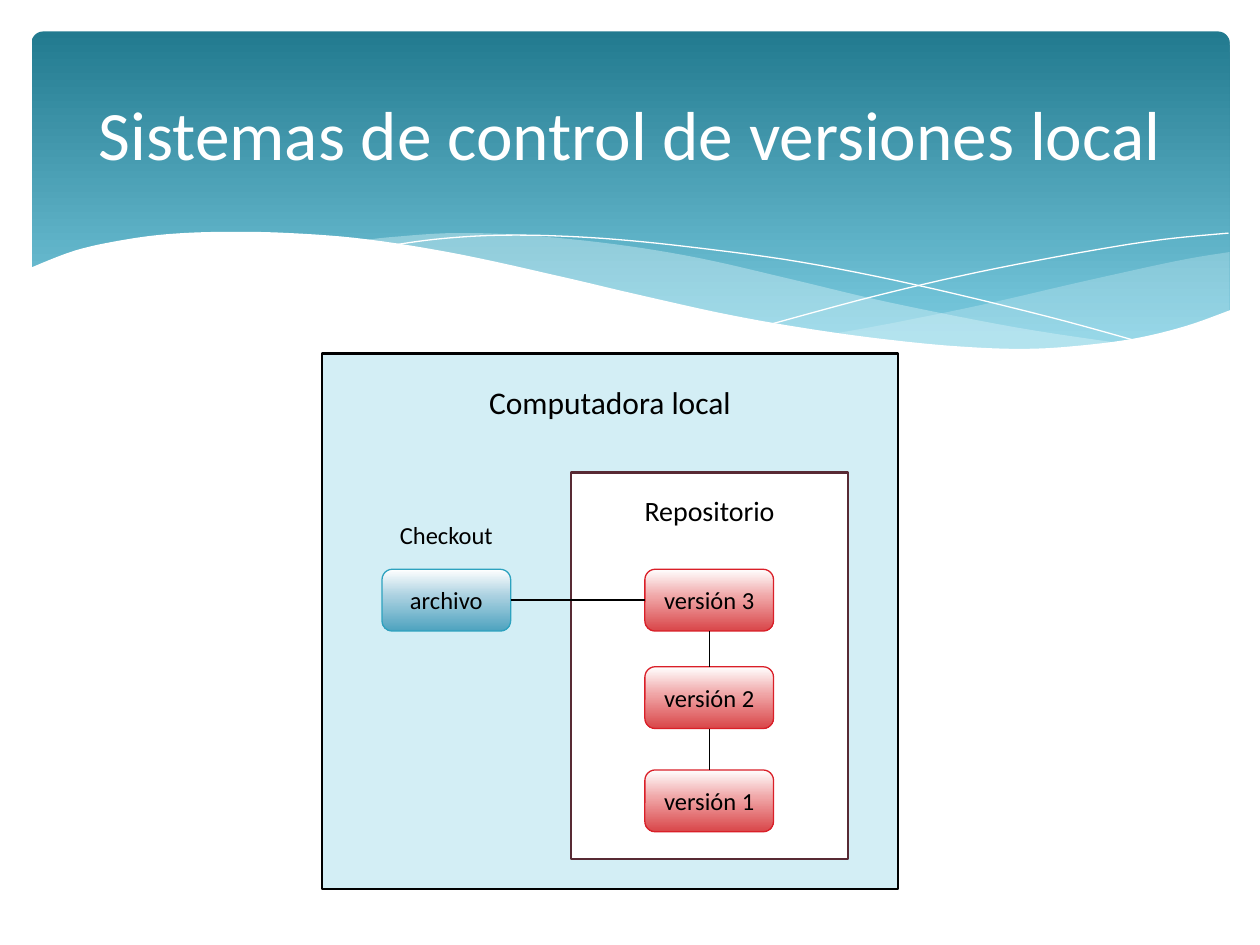
from copy import deepcopy
from dataclasses import dataclass

from lxml import etree
from pptx import Presentation
from pptx.dml.color import RGBColor
from pptx.enum.shapes import MSO_CONNECTOR, MSO_SHAPE
from pptx.enum.text import MSO_ANCHOR, MSO_AUTO_SIZE, PP_ALIGN
from pptx.oxml.ns import qn
from pptx.util import Pt

RECT, ROUND = MSO_SHAPE.RECTANGLE, MSO_SHAPE.ROUNDED_RECTANGLE
LINE = MSO_CONNECTOR.STRAIGHT
MIDDLE, CENTER = MSO_ANCHOR.MIDDLE, PP_ALIGN.CENTER
GROW, FIXED = MSO_AUTO_SIZE.SHAPE_TO_FIT_TEXT, MSO_AUTO_SIZE.NONE
TOP, LEFT, BOTTOM, RIGHT = range(4)


@dataclass(frozen=True)
class Theme:
    font: str = "Calibri"
    ink: str = "000000"
    paper: str = "FFFFFF"
    mist: str = "DEF5FA"
    pale: str = "D3EEF5"
    wine: str = "582A34"
    blue: str = "2DA2BF"
    red: str = "DA1F28"
    sky: tuple = ((0, "227A8F"), (90, "7ACBE0"))
    cool: tuple = ((0, "FFFFFF"), (44, "A9D0E0"), (100, "4EA3BF"))
    warm: tuple = ((0, "FFFFFF"), (44, "F0A6A7"), (100, "D94649"))
    title: float = 39.6
    head: float = 18
    sub: float = 16
    body: float = 14


def write(shape, text, *, size, color, font, wrap=True, fit=FIXED, anchor=MIDDLE):
    """Put one centred line of text in a shape."""
    frame = shape.text_frame
    frame.word_wrap, frame.auto_size = wrap, fit
    frame.vertical_anchor = anchor
    para = frame.paragraphs[0]
    para.alignment = CENTER
    run = para.add_run()
    run.text = text
    run.font.size, run.font.name = Pt(size), font
    run.font.color.rgb = RGBColor.from_string(color)


def curve(knots, steps=6):
    """Smooth a list of knots with a Catmull-Rom spline."""
    ends = [knots[0], *knots, knots[-1]]
    out = [knots[0]]
    for a, b, c, d in zip(ends, ends[1:], ends[2:], ends[3:]):
        for i in range(1, steps + 1):
            t = i / steps
            out.append(tuple(
                (2 * q + (r - p) * t + (2 * p - 5 * q + 4 * r - s) * t**2
                 + (3 * q - p - 3 * r + s) * t**3) / 2
                for p, q, r, s in zip(a, b, c, d)))
    return out


class Deck:
    def __init__(self, theme):
        self.theme = theme
        self.prs = Presentation()
        self.prs.slide_width, self.prs.slide_height = Pt(720), Pt(540)
        self.slide = self.prs.slides.add_slide(self.prs.slide_layouts[5])
        self.shapes = self.slide.shapes

    def paint(self, shape, fill=None, line=None, width=0.75, alpha=None):
        shape.shadow.inherit = False
        if fill is None:
            shape.fill.background()
        elif isinstance(fill, str):
            shape.fill.solid()
            shape.fill.fore_color.rgb = RGBColor.from_string(fill)
        else:
            self.blend(shape, fill)
        if alpha is not None:
            color = shape.element.spPr.find(".//" + qn("a:srgbClr"))
            etree.SubElement(color, qn("a:alpha"), val=str(alpha * 1000))
        if line:
            shape.line.color.rgb = RGBColor.from_string(line)
            shape.line.width = Pt(width)
        else:
            shape.line.fill.background()
        return shape

    def blend(self, shape, stops):
        shape.fill.gradient()
        shape.fill.gradient_angle = 270
        bag = shape.element.spPr.find(".//" + qn("a:gsLst"))
        while len(bag) < len(stops):
            bag.append(deepcopy(bag[0]))
        for stop, (pos, color) in zip(shape.fill.gradient_stops, stops):
            stop.position = pos / 100
            stop.color.rgb = RGBColor.from_string(color)

    def title(self, text, x, y, w, h):
        box = self.shapes.title
        box.left, box.top, box.width, box.height = map(Pt, (x, y, w, h))
        write(box, text, size=self.theme.title, color=self.theme.paper,
              font=self.theme.font)
        # Bring the title in front of the banner
        box.element.getparent().append(box.element)

    def box(self, kind, x, y, w, h, **style):
        return self.paint(self.shapes.add_shape(kind, *map(Pt, (x, y, w, h))), **style)

    def node(self, text, x, y, fill, line):
        shape = self.box(ROUND, x, y, 73.5, 35.3, fill=fill, line=line)
        write(shape, text, size=self.theme.body, color=self.theme.ink,
              font=self.theme.font)
        return shape

    def label(self, text, x, y, w, h, size):
        box = self.shapes.add_textbox(*map(Pt, (x, y, w, h)))
        write(box, text, size=size, color=self.theme.ink, font=self.theme.font,
              wrap=False, fit=GROW, anchor=MSO_ANCHOR.TOP)

    def wave(self, points, closed=True, **style):
        spots = [(Pt(x), Pt(y)) for x, y in points]
        pen = self.shapes.build_freeform(*spots[0], scale=1.0)
        pen.add_line_segments(spots[1:], close=closed)
        self.paint(pen.convert_to_shape(), **style)

    def join(self, start, out, end, into):
        link = self.shapes.add_connector(LINE, 0, 0, 0, 0)
        link.begin_connect(start, out)
        link.end_connect(end, into)
        link.line.color.rgb = RGBColor.from_string(self.theme.ink)
        link.line.width = Pt(0.75)
        etree.SubElement(link.element.spPr, qn("a:effectLst"))


def banner(deck):
    theme = deck.theme
    sky = deck.box(ROUND, 18, 18, 684.7, 194.4, fill=theme.sky)
    sky.adjustments[0] = 0.034

    # Translucent waves, each an upper and a lower edge
    deck.wave(
        curve([(702.7, 144), (673, 149), (620, 160.6), (561, 174.2), (508, 185),
               (476, 190.8)])
        + curve([(476, 190.8), (518, 195.8), (554, 199.4), (586, 200.2),
                 (621, 198), (652, 193.7), (678, 186.5), (702.7, 177.8)]),
        fill=theme.mist, alpha=29)
    deck.wave(
        curve([(643, 196.6), (581, 187.2), (508, 172.8), (453, 159.8),
               (400, 147.6), (352, 139.7), (302, 134.6), (260, 133.2),
               (225, 135.4), (206, 137.5)])
        + curve([(206, 137.5), (246, 143.3), (291, 151.9), (323, 159.8),
                 (382, 172.8), (433, 183.6), (479, 191.5), (520, 197.3),
                 (557, 199.4), (589, 200.2), (617, 199.4), (643, 196.6)]),
        fill=theme.mist, alpha=40)

    # Hairlines
    for knots in (
        [(222.5, 140.4), (248, 136.8), (279, 134.6), (312, 134.6), (352, 136.8),
         (400, 141.8), (458, 149.8), (523, 162.7), (598, 180.7), (653, 195.8)],
        [(441.4, 185), (500, 169.2), (559, 155.5), (623, 143.3), (665, 136.8),
         (702, 133.2)],
    ):
        deck.wave(curve(knots), closed=False, line=theme.paper, width=0)

    # White front wave
    deck.wave(
        curve([(703.4, 177.1), (677, 186.5), (647, 193.7), (612, 198),
               (582.5, 199.4), (548, 198), (510, 194.4), (466.6, 188.6),
               (417, 180), (362, 167.8), (322, 158.4), (263, 145.4),
               (210, 136.8), (165.6, 133.2), (127, 132.5), (95, 133.9),
               (68.4, 137.5), (42.5, 143.3), (16.6, 153.4)])
        + [(16.6, 236.9), (703.4, 236.9)],
        fill=theme.paper)


def main():
    theme = Theme()
    deck = Deck(theme)
    banner(deck)
    deck.title("Sistemas de control de versiones local", 36, 26.6, 648, 98.6)

    # Local computer
    deck.box(RECT, 184.2, 202, 329, 306, fill=theme.pale, line=theme.ink, width=1.25)
    file = deck.node("archivo", 218.3, 325.3, theme.cool, theme.blue)
    deck.label("Computadora local", 268.6, 215.3, 160, 29, theme.head)

    # Repository with its versions, newest on top
    deck.box(RECT, 326.2, 270, 158.4, 221, fill=theme.paper, line=theme.wine, width=1.25)
    deck.label("Repositorio", 358.5, 278.6, 94, 26.6, theme.sub)
    nodes = [deck.node(f"versión {n}", 368.5, y, theme.warm, theme.red)
             for n, y in ((3, 325.3), (2, 381), (1, 440))]

    # Links
    deck.join(file, RIGHT, nodes[0], LEFT)
    for upper, lower in zip(nodes, nodes[1:]):
        deck.join(upper, BOTTOM, lower, TOP)
    deck.label("Checkout", 219.4, 293.8, 71.3, 24.5, theme.body)

    deck.prs.save("out.pptx")


if __name__ == "__main__":
    main()
